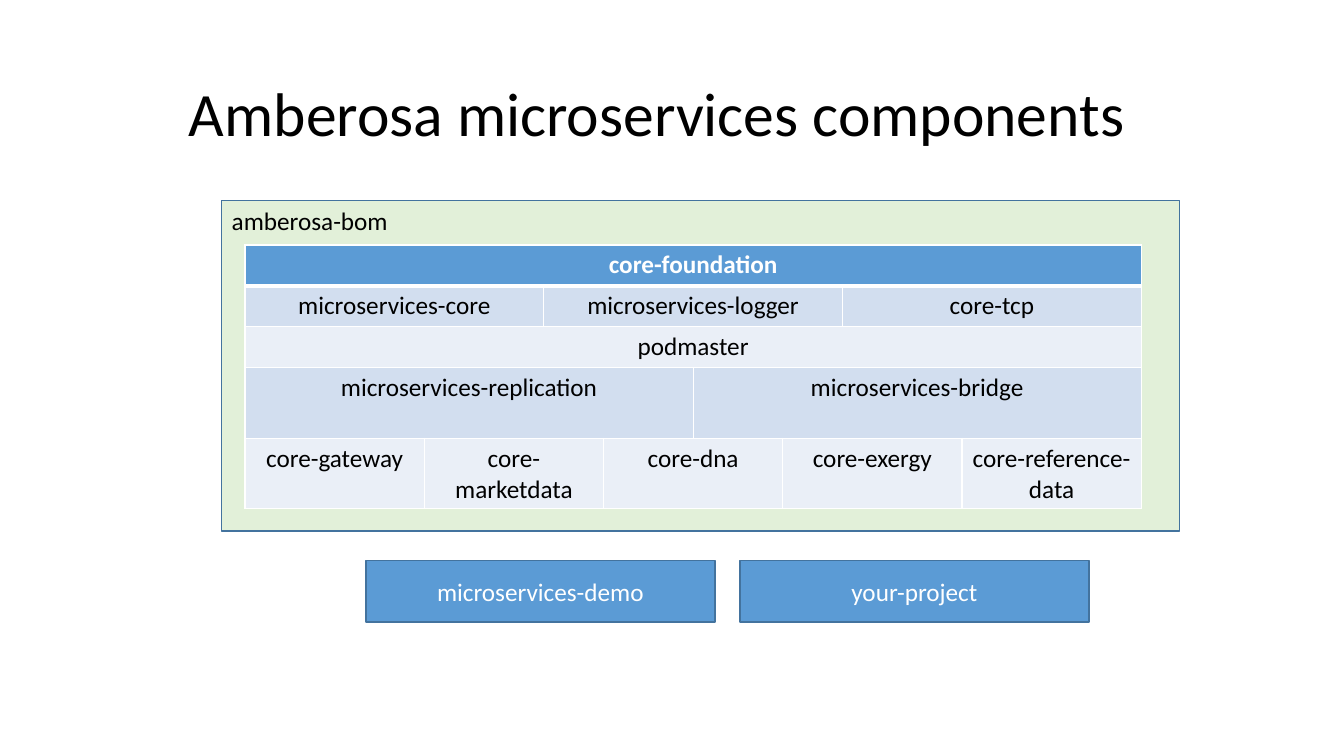
from itertools import accumulate

from lxml.etree import SubElement
from pptx import Presentation
from pptx.dml.color import RGBColor
from pptx.enum.shapes import MSO_SHAPE
from pptx.enum.text import MSO_ANCHOR, PP_ALIGN
from pptx.oxml.ns import qn
from pptx.util import Inches, Pt

WIDTH, HEIGHT = Inches(13.33), Inches(7.5)
BLACK, WHITE, BLUE, OUTLINE = "000000", "FFFFFF", "5B9BD5", "43739E"
GREEN, BAND_DARK, BAND_LIGHT = "E2F0D9", "D2DEEF", "EAEFF7"
COLUMN_PARTS = [6, 4, 2, 3, 3, 2, 4, 6]
ROW_SHARES = [15.5, 15.5, 15.5, 26.75, 26.75]
LAYERS = [
    (BLUE, [("core-foundation", 8)]),
    (BAND_DARK, [("microservices-core", 2), ("microservices-logger", 4), ("core-tcp", 2)]),
    (BAND_LIGHT, [("podmaster", 8)]),
    (BAND_DARK, [("microservices-replication", 4), ("microservices-bridge", 4)]),
    (BAND_LIGHT, [("core-gateway", 1), ("core-marketdata", 2), ("core-dna", 2),
                  ("core-exergy", 2), ("core-reference-data", 1)]),
]


def color(value):
    """Turn a hex string into a colour."""
    return RGBColor.from_string(value)


def area(left, top, width, height):
    """Turn percentages of the slide's size into a position and size."""
    return [int(share * full / 100) for share, full in
            zip((left, top, width, height), (WIDTH, HEIGHT, WIDTH, HEIGHT))]


def write(frame, text, ink, size=18, align=PP_ALIGN.CENTER, bold=False):
    """Write one styled paragraph into a text frame."""
    frame.word_wrap = True
    para = frame.paragraphs[0]
    para.text = text
    para.alignment = align
    para.font.name, para.font.size, para.font.bold = "Calibri", Pt(size), bold
    para.font.color.rgb = color(ink)
    return para


def add_title(page, text, place):
    """Add the heading, centred slightly left of its box."""
    frame = page.shapes.add_textbox(*area(*place)).text_frame
    frame.vertical_anchor = MSO_ANCHOR.MIDDLE
    frame.margin_right = Inches(0.42)
    write(frame, text, BLACK, 44).line_spacing = 0.9


def add_panel(page, text, place, fill, ink, align=PP_ALIGN.CENTER, anchor=MSO_ANCHOR.MIDDLE):
    """Add an outlined rectangle with a label."""
    box = page.shapes.add_shape(MSO_SHAPE.RECTANGLE, *area(*place))
    box.shadow.inherit = False
    box.fill.solid()
    box.fill.fore_color.rgb = color(fill)
    box.line.color.rgb = color(OUTLINE)
    box.line.width = Pt(1)
    box.text_frame.vertical_anchor = anchor
    write(box.text_frame, text, ink, align=align)


def style_cell(cell, fill, top, bottom):
    """Give a cell white borders and a solid fill."""
    properties = cell._tc.get_or_add_tcPr()
    for side, width in (("L", 1), ("R", 1), ("T", top), ("B", bottom)):
        border = SubElement(properties, qn(f"a:ln{side}"), w=str(Pt(width)))
        SubElement(SubElement(border, qn("a:solidFill")), qn("a:srgbClr"), val=WHITE)
    cell.fill.solid()
    cell.fill.fore_color.rgb = color(fill)


def add_layers(page, place):
    """Add the table of component layers."""
    left, top, width, height = area(*place)
    table = page.shapes.add_table(
        len(LAYERS), len(COLUMN_PARTS), left, top, width, height).table
    table.horz_banding = False
    for column, part in zip(table.columns, COLUMN_PARTS):
        column.width = int(width * part / sum(COLUMN_PARTS))
    for index, (fill, components) in enumerate(LAYERS):
        table.rows[index].height = int(height * ROW_SHARES[index] / 100)
        for column in range(len(COLUMN_PARTS)):
            style_cell(table.cell(index, column), fill,
                       3 if index == 1 else 1, 3 if index == 0 else 1)
        ends = accumulate(span for _, span in components)
        for (name, span), end in zip(components, ends):
            cell = table.cell(index, end - span)
            if span > 1:
                cell.merge(table.cell(index, end - 1))
            write(cell.text_frame, name, BLACK if index else WHITE, bold=index == 0)


def main():
    """Build and save the slide."""
    deck = Presentation()
    deck.slide_width, deck.slide_height = WIDTH, HEIGHT
    page = deck.slides.add_slide(deck.slide_layouts[6])
    add_panel(page, "amberosa-bom", (16.5, 26.53, 71.27, 43.73), GREEN, BLACK,
              PP_ALIGN.LEFT, MSO_ANCHOR.TOP)
    add_title(page, "Amberosa microservices components", (6.98, 5.73, 86.27, 19.33))
    add_layers(page, (18.23, 32.4, 66.69, 34.93))
    for index, name in enumerate(["microservices-demo", "your-project"]):
        add_panel(page, name, (27.23 + 27.83 * index, 74.13, 25.96, 8.13), BLUE, WHITE)
    deck.save("out.pptx")


main()
